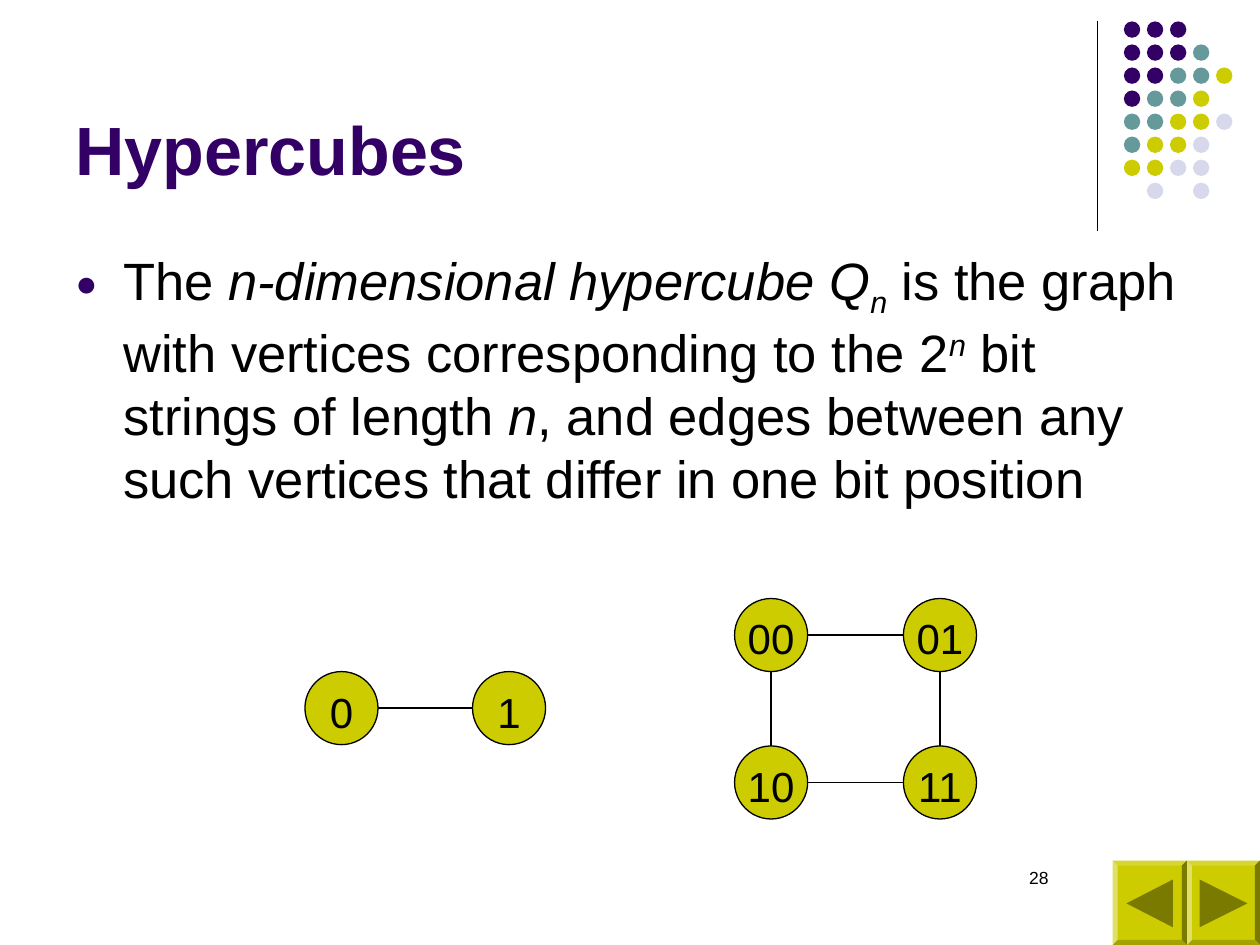
from lxml.etree import SubElement
from pptx import Presentation
from pptx.dml.color import RGBColor
from pptx.enum.shapes import MSO_CONNECTOR, MSO_SHAPE
from pptx.enum.text import MSO_ANCHOR, PP_ALIGN
from pptx.oxml.ns import qn
from pptx.util import Inches, Pt

COLORS = {
    "black": "000000", "purple": "330066", "teal": "669999",
    "olive": "CCCC00", "lavender": "D8D8EC",
    "bevel_top": "D6D633", "bevel_left": "E0E066",
    "bevel_right": "7A7A00", "bevel_bottom": "A3A300",
}

prs = Presentation()
prs.slide_width, prs.slide_height = Inches(10), Inches(7.5)
slide = prs.slides.add_slide(prs.slide_layouts[6])
shapes = slide.shapes


def add_line(x1, y1, x2, y2):
    line = shapes.add_connector(MSO_CONNECTOR.STRAIGHT, Inches(x1), Inches(y1), Inches(x2), Inches(y2))
    line.line.color.rgb = RGBColor.from_string(COLORS["black"])
    line.line.width = Pt(0.75)
    SubElement(line._element.spPr, qn("a:effectLst"))


def add_run(paragraph, text, size, color="black"):
    run = paragraph.add_run()
    run.text = text
    run.font.name = "Arial"
    run.font.size = Pt(size)
    run.font.color.rgb = RGBColor.from_string(COLORS[color])
    return run


# Corner ornament: a rule and a pattern of dots, one letter per dot
add_line(8.71, 0.17, 8.71, 1.83)
dot_colors = {"P": "purple", "T": "teal", "O": "olive", "L": "lavender"}
dot_rows = ["PPP", "PPPT", "PPTTO", "PTTO", "TTOOL", "TOOL", "OOLL", ".L.L"]
dot_pitch = 1.28 / 7
for row, letters in enumerate(dot_rows):
    for col, letter in enumerate(letters):
        if letter == ".":
            continue
        dot = shapes.add_shape(
            MSO_SHAPE.OVAL, Inches(8.92 + col * dot_pitch), Inches(0.17 + row * dot_pitch),
            Inches(0.13), Inches(0.13))
        dot.shadow.inherit = False
        dot.fill.solid()
        dot.fill.fore_color.rgb = RGBColor.from_string(COLORS[dot_colors[letter]])
        dot.line.fill.background()

# Bevelled navigation buttons: face, four edges and an arrow
top, bottom, bevel = 6.83, 7.5, 0.04
for left, right, arrow in [
    (9.42, 10, [(9.52, 6.98), (9.9, 7.17), (9.52, 7.36)]),
    (8.83, 9.42, [(8.94, 7.17), (9.31, 6.98), (9.31, 7.36)]),
]:
    outer = [(left, top), (right, top), (right, bottom), (left, bottom)]
    inner = [(left + bevel, top + bevel), (right - bevel, top + bevel),
             (right - bevel, bottom - bevel), (left + bevel, bottom - bevel)]
    facets = [(outer, "olive")]
    for side, edge in enumerate(["top", "right", "bottom", "left"]):
        after = (side + 1) % 4
        facets.append(([outer[side], outer[after], inner[after], inner[side]], "bevel_" + edge))
    facets.append((arrow, "bevel_right"))
    for corners, color in facets:
        points = [(Inches(x), Inches(y)) for x, y in corners]
        builder = shapes.build_freeform(*points[0])
        builder.add_line_segments(points[1:], close=True)
        facet = builder.convert_to_shape()
        facet.shadow.inherit = False
        facet.fill.solid()
        facet.fill.fore_color.rgb = RGBColor.from_string(COLORS[color])
        facet.line.fill.background()

# Slide number
number = shapes.add_textbox(Inches(7.17), Inches(6.83), Inches(1.25), Inches(0.5)).text_frame
number.word_wrap = True
number.paragraphs[0].alignment = PP_ALIGN.RIGHT
add_run(number.paragraphs[0], "28", 10)

# Title
title = shapes.add_textbox(Inches(0.5), Inches(0.13), Inches(8.25), Inches(1.42)).text_frame
title.word_wrap = True
title.vertical_anchor = MSO_ANCHOR.BOTTOM
add_run(title.paragraphs[0], "Hypercubes", 39, "purple").font.bold = True

# Definition
definition = shapes.add_textbox(Inches(0.5), Inches(1.92), Inches(9), Inches(4.78)).text_frame
definition.word_wrap = True
paragraph = definition.paragraphs[0]
properties = paragraph._p.get_or_add_pPr()
properties.set("marL", str(Inches(0.38)))
properties.set("indent", str(-Inches(0.38)))
bullet_color = SubElement(properties, qn("a:buClr"))
SubElement(bullet_color, qn("a:srgbClr")).set("val", COLORS["purple"])
SubElement(properties, qn("a:buSzPct")).set("val", "70000")
SubElement(properties, qn("a:buFont")).set("typeface", "Arial")
SubElement(properties, qn("a:buChar")).set("char", "●")
for text, italic, baseline in [
    ("The ", False, 0),
    ("n-dimensional hypercube Q", True, 0),
    ("n", True, -25000),
    (" is the graph with vertices corresponding to the 2", False, 0),
    ("n", True, 30000),
    (" bit strings of length ", False, 0),
    ("n", True, 0),
    (", and edges between any such vertices that differ in one bit position", False, 0),
]:
    run = add_run(paragraph, text, 30)
    run.font.italic = italic
    if baseline:
        run.font._element.set("baseline", str(baseline))

# Hypercubes of dimension 1 and 2: vertices by bit string, edges between one-bit neighbours
diameter = 0.58
vertices = {
    "0": (2.42, 5.33), "1": (3.75, 5.33),
    "00": (5.83, 4.75), "01": (7.17, 4.75),
    "10": (5.83, 5.92), "11": (7.17, 5.92),
}
for bits, (x, y) in vertices.items():
    vertex = shapes.add_shape(MSO_SHAPE.OVAL, Inches(x), Inches(y), Inches(diameter), Inches(diameter))
    vertex.shadow.inherit = False
    vertex.fill.solid()
    vertex.fill.fore_color.rgb = RGBColor.from_string(COLORS["olive"])
    vertex.line.color.rgb = RGBColor.from_string(COLORS["black"])
    vertex.line.width = Pt(0.75)
    label = vertex.text_frame
    label.word_wrap = False
    label.vertical_anchor = MSO_ANCHOR.MIDDLE
    label.margin_left = label.margin_right = label.margin_bottom = 0
    label.margin_top = Inches(0.05)
    label.paragraphs[0].alignment = PP_ALIGN.CENTER
    add_run(label.paragraphs[0], bits, 24)

for start, end in [("0", "1"), ("00", "01"), ("10", "11"), ("00", "10"), ("01", "11")]:
    (x1, y1), (x2, y2) = vertices[start], vertices[end]
    radius = diameter / 2
    if y1 == y2:
        add_line(x1 + diameter, y1 + radius, x2, y2 + radius)
    else:
        add_line(x1 + radius, y1 + diameter, x2 + radius, y2)

prs.save("out.pptx")
